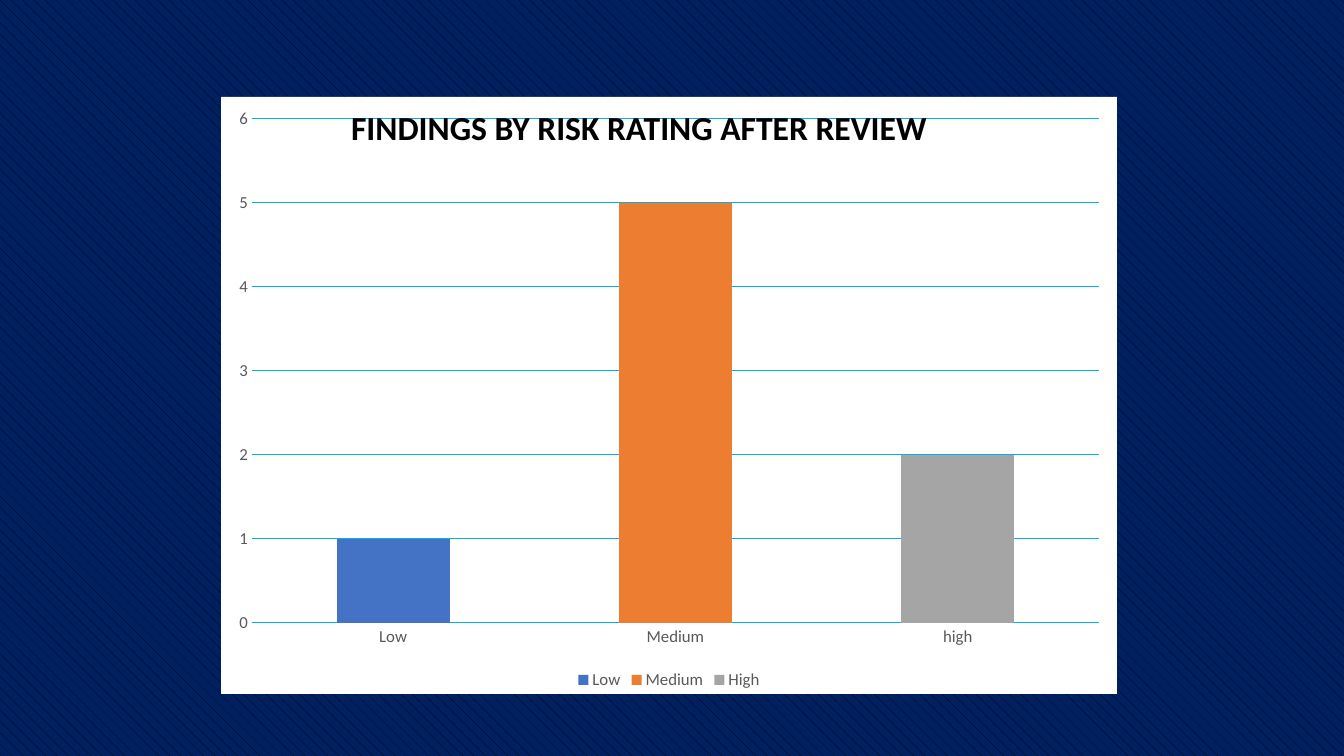
import pptx
import pptx.util
import pptx.chart.data
import pptx.dml.color
import pptx.enum.chart
import pptx.enum.dml
import pptx.enum.text
import pptx.oxml

SCALE = 914400 / 100.8
NAMESPACES = (
    'xmlns:c="http://schemas.openxmlformats.org/drawingml/2006/chart" '
    'xmlns:a="http://schemas.openxmlformats.org/drawingml/2006/main"'
)


def px(length):
    return pptx.util.Emu(round(length * SCALE))


def colour(value):
    return pptx.dml.color.RGBColor.from_string(value)


class Deck:
    font = "Calibri"
    ink = "000000"
    muted = "595959"
    grid = "00B0F0"
    paper = "FFFFFF"

    def __init__(self, width, height):
        self.presentation = pptx.Presentation()
        self.presentation.slide_width = px(width)
        self.presentation.slide_height = px(height)
        self.slide = None

    def add_slide(self, layout):
        self.slide = self.presentation.slides.add_slide(
            self.presentation.slide_layouts[layout])

    def background(self, pattern, fore, back):
        fill = self.slide.background.fill
        fill.patterned()
        fill.pattern = pattern
        fill.fore_color.rgb = colour(fore)
        fill.back_color.rgb = colour(back)

    def style(self, font, size, ink):
        font.name = self.font
        font.size = pptx.util.Pt(size)
        font.color.rgb = colour(ink)

    def title(self, text, left, top, width, height, size):
        heading = self.slide.shapes.title
        heading.left, heading.top = px(left), px(top)
        heading.width, heading.height = px(width), px(height)
        frame = heading.text_frame
        frame.text = text
        frame.word_wrap = True
        frame.auto_size = pptx.enum.text.MSO_AUTO_SIZE.NONE
        frame.vertical_anchor = pptx.enum.text.MSO_ANCHOR.TOP
        paragraph = frame.paragraphs[0]
        paragraph.alignment = pptx.enum.text.PP_ALIGN.LEFT
        self.style(paragraph.font, size, self.ink)
        paragraph.font.bold = True

    def stacked_columns(self, categories, series, box, plot_box):
        data = pptx.chart.data.CategoryChartData(number_format="0")
        data.categories = categories
        for name, values, _ in series:
            data.add_series(name, values)
        frame = self.slide.shapes.add_chart(
            pptx.enum.chart.XL_CHART_TYPE.COLUMN_STACKED,
            *map(px, box), data)
        self.slide.shapes.title._element.addprevious(frame._element)
        chart = frame.chart
        chart.has_title = False
        self.style(chart.font, 10, self.ink)

        plot = chart.plots[0]
        plot.gap_width = 150
        plot.overlap = 100
        plot.vary_by_categories = False
        for column, (_, _, fill) in zip(plot.series, series):
            column.format.fill.solid()
            column.format.fill.fore_color.rgb = colour(fill)

        for axis in (chart.category_axis, chart.value_axis):
            axis.major_tick_mark = pptx.enum.chart.XL_TICK_MARK.NONE
            axis.minor_tick_mark = pptx.enum.chart.XL_TICK_MARK.NONE
            axis.format.line.fill.background()
            self.style(axis.tick_labels.font, 12, self.muted)
        counts = chart.value_axis
        counts.minimum_scale, counts.maximum_scale = 0, 6
        counts.major_unit = 1
        counts.has_major_gridlines = True
        gridline = counts.major_gridlines.format.line
        gridline.color.rgb = colour(self.grid)
        gridline.width = pptx.util.Pt(0.75)

        chart.has_legend = True
        chart.legend.position = pptx.enum.chart.XL_LEGEND_POSITION.BOTTOM
        chart.legend.include_in_layout = False
        self.style(chart.legend.font, 12, self.muted)
        self.chart_paper(chart)
        self.place_plot(chart, box, plot_box)

    def chart_paper(self, chart):
        paper = pptx.oxml.parse_xml(
            f'<c:spPr {NAMESPACES}><a:solidFill><a:srgbClr val="{self.paper}"/>'
            '</a:solidFill><a:ln><a:noFill/></a:ln></c:spPr>')
        chart._chartSpace.find("{*}chart").addnext(paper)

    def place_plot(self, chart, box, plot_box):
        left, top, width, height = box
        plot_left, plot_top, plot_width, plot_height = plot_box
        shares = {
            "x": (plot_left - left) / width,
            "y": (plot_top - top) / height,
            "w": plot_width / width,
            "h": plot_height / height,
        }
        sizes = "".join(f'<c:{key} val="{share:.4f}"/>'
                        for key, share in shares.items())
        layout = pptx.oxml.parse_xml(
            f'<c:layout {NAMESPACES}><c:manualLayout>'
            '<c:layoutTarget val="inner"/><c:xMode val="edge"/>'
            f'<c:yMode val="edge"/>{sizes}</c:manualLayout></c:layout>')
        area = chart._chartSpace.find("{*}chart/{*}plotArea")
        for automatic in area.findall("{*}layout"):
            area.remove(automatic)
        area.insert(0, layout)


deck = Deck(1344, 756)
deck.add_slide(5)
deck.background(pptx.enum.dml.MSO_PATTERN.SHINGLE, "000000", "002060")
deck.title("FINDINGS BY RISK RATING AFTER REVIEW", 341, 102, 673, 50, 24)
deck.stacked_columns(
    ["Low", "Medium", "high"],
    [
        ("Low", (1, 0, 0), "4472C4"),
        ("Medium", (0, 5, 0), "ED7D31"),
        ("High", (0, 0, 2), "A5A5A5"),
    ],
    (221, 97, 896, 597),
    (252, 119, 847, 504),
)
deck.presentation.save("out.pptx")
